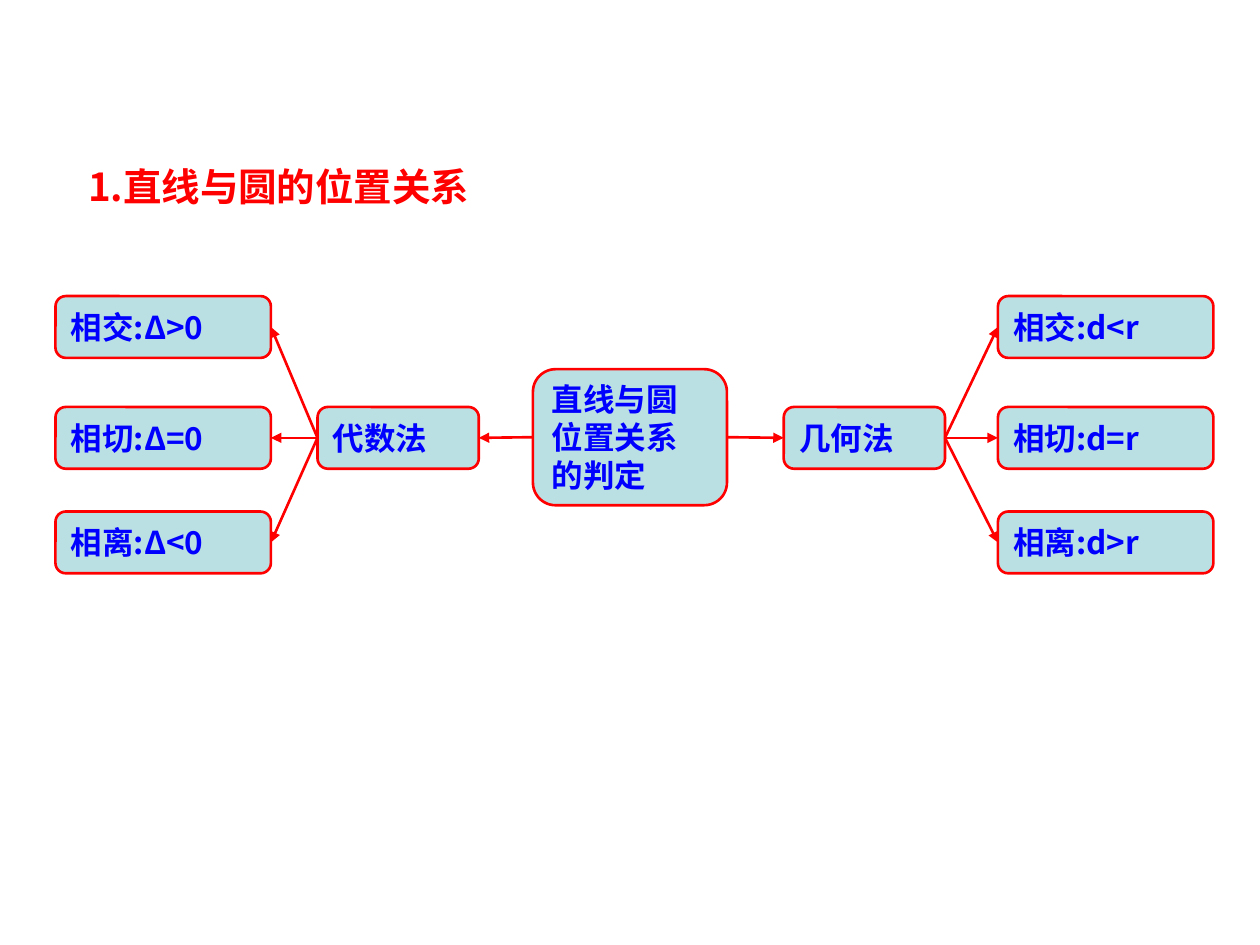
from dataclasses import dataclass

import lxml.etree
import pptx
import pptx.dml.color
import pptx.enum.shapes
import pptx.enum.text
import pptx.oxml.ns
import pptx.util

Inches = pptx.util.Inches
RED = "FF0000"
BLUE = "0000FF"
PALE_TEAL = "BBE0E3"
CJK_FONT = "Noto Sans CJK SC"
LEFT_SITE, RIGHT_SITE = 1, 3
MIDDLE_ROW = 3.23
ROW_TOPS = (2.35, MIDDLE_ROW, 4.06)
NODE_HEIGHT = 0.49
METHOD_WIDTH = 1.28
CASE_WIDTH = 1.71


@dataclass
class Node:
    text: str
    left: float
    top: float
    width: float
    height: float = NODE_HEIGHT
    font: str = CJK_FONT


@dataclass
class Branch:
    method: str
    method_left: float
    case_left: float
    cases: tuple[str, ...]
    start_site: int
    end_site: int


BRANCHES = (
    Branch("代数法", 2.52, 0.44, ("相交:Δ>0", "相切:Δ=0", "相离:Δ<0"),
           LEFT_SITE, RIGHT_SITE),
    Branch("几何法", 6.22, 7.92, ("相交:d<r", "相切:d=r", "相离:d>r"),
           RIGHT_SITE, LEFT_SITE),
)


def color(value: str) -> pptx.dml.color.RGBColor:
    return pptx.dml.color.RGBColor.from_string(value)


def write_text(text_frame, text: str, size: int, font: str, text_color: str) -> None:
    text_frame.text = text
    for paragraph in text_frame.paragraphs:
        paragraph.alignment = pptx.enum.text.PP_ALIGN.LEFT
        paragraph.font.size = pptx.util.Pt(size)
        paragraph.font.bold = True
        paragraph.font.color.rgb = color(text_color)
        paragraph.font.name = font
        properties = paragraph._p.pPr.find(pptx.oxml.ns.qn("a:defRPr"))
        east_asian = lxml.etree.SubElement(properties, pptx.oxml.ns.qn("a:ea"))
        east_asian.set("typeface", CJK_FONT)


def add_title(slide, text: str) -> None:
    text_box = slide.shapes.add_textbox(Inches(0.6), Inches(1.1), Inches(8.28), Inches(0.62))
    text_box.text_frame.word_wrap = True
    write_text(text_box.text_frame, text, 22, CJK_FONT, RED)
    text_box.text_frame.paragraphs[0].line_spacing = 1.4


def add_node(slide, node: Node):
    shape = slide.shapes.add_shape(
        pptx.enum.shapes.MSO_SHAPE.ROUNDED_RECTANGLE,
        Inches(node.left), Inches(node.top), Inches(node.width), Inches(node.height))
    shape.shadow.inherit = False
    shape.fill.solid()
    shape.fill.fore_color.rgb = color(PALE_TEAL)
    shape.line.color.rgb = color(RED)
    shape.line.width = pptx.util.Pt(1.5)
    shape.text_frame.word_wrap = False
    shape.text_frame.vertical_anchor = pptx.enum.text.MSO_ANCHOR.MIDDLE
    write_text(shape.text_frame, node.text, 18, node.font, BLUE)
    return shape


def add_arrow(slide, start, end, branch: Branch) -> None:
    connector = slide.shapes.add_connector(
        pptx.enum.shapes.MSO_CONNECTOR.STRAIGHT, 0, 0, 0, 0)
    connector.begin_connect(start, branch.start_site)
    connector.end_connect(end, branch.end_site)
    connector.line.color.rgb = color(RED)
    connector.line.width = pptx.util.Pt(1.5)
    line = connector.line._get_or_add_ln()
    lxml.etree.SubElement(line, pptx.oxml.ns.qn("a:tailEnd")).set("type", "triangle")
    lxml.etree.SubElement(connector._element.spPr, pptx.oxml.ns.qn("a:effectLst"))


def add_branch(slide, root, branch: Branch) -> None:
    method = add_node(slide, Node(branch.method, branch.method_left, MIDDLE_ROW,
                                  METHOD_WIDTH, font="Arial"))
    add_arrow(slide, root, method, branch)
    for text, top in zip(branch.cases, ROW_TOPS):
        case = add_node(slide, Node(text, branch.case_left, top, CASE_WIDTH))
        add_arrow(slide, method, case, branch)


def main() -> None:
    presentation = pptx.Presentation()
    presentation.slide_width = Inches(10)
    presentation.slide_height = Inches(7.5)
    slide = presentation.slides.add_slide(presentation.slide_layouts[6])
    add_title(slide, "1.直线与圆的位置关系")
    root = add_node(slide, Node("直线与圆\n位置关系\n的判定", 4.23, 2.93, 1.54, 1.08, "Arial"))
    for branch in BRANCHES:
        add_branch(slide, root, branch)
    presentation.save("out.pptx")


if __name__ == "__main__":
    main()
